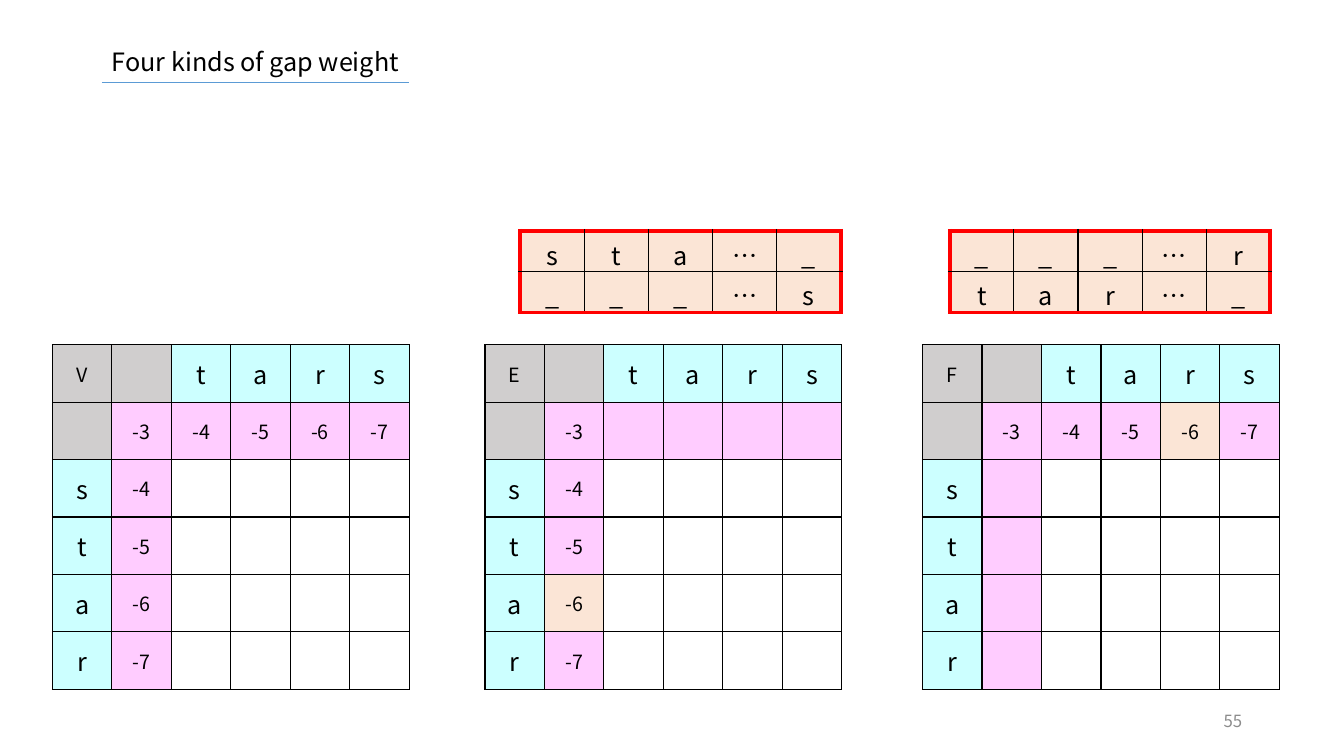
from lxml import etree
from pptx import Presentation
from pptx.dml.color import RGBColor
from pptx.enum.shapes import MSO_CONNECTOR
from pptx.enum.text import MSO_ANCHOR, MSO_AUTO_SIZE, PP_ALIGN
from pptx.oxml.ns import qn
from pptx.util import Emu, Pt

PX = 9144
FONT = "Noto Sans CJK KR"
COLORS = {
    "black": "000000", "white": "FFFFFF", "gray": "D0CECE", "number": "8C8C8C",
    "cyan": "CCFFFF", "pink": "FFCCFF", "peach": "FBE5D6", "red": "FF0000",
    "rule": "5B9BD5",
}
COLUMN_WORD, ROW_WORD = "tars", "star"
WEIGHTS = ["-3", "-4", "-5", "-6", "-7"]
BLANKS = [""] * 4


def px(*values):
    return [Emu(v * PX) for v in values]


def rgb(name):
    return RGBColor.from_string(COLORS[name])


def write(tf, text, size=18, color="black", align=PP_ALIGN.LEFT):
    p = tf.paragraphs[0]
    p.alignment = align
    r = p.add_run()
    r.text = text
    r.font.name, r.font.size = FONT, Pt(size)
    r.font.color.rgb = rgb(color)
    rPr = r.font._element
    rPr.set("lang", "ko-KR")
    etree.SubElement(rPr, qn("a:ea"), typeface=FONT)


def set_borders(cell, borders):
    tcPr = cell._tc.get_or_add_tcPr()
    for i, (side, (color, width)) in enumerate(zip("LRTB", borders)):
        ln = etree.Element(qn(f"a:ln{side}"), w=str(Pt(width)))
        fill = etree.SubElement(ln, qn("a:solidFill"))
        etree.SubElement(fill, qn("a:srgbClr"), val=COLORS[color])
        tcPr.insert(i, ln)


def fill_cell(cell, text, fill, borders, size):
    cell.vertical_anchor = MSO_ANCHOR.MIDDLE
    cell.fill.solid()
    cell.fill.fore_color.rgb = rgb(fill)
    set_borders(cell, borders)
    if text:
        write(cell.text_frame, text, size=size, align=PP_ALIGN.CENTER)


def add_grid(s, box, rows, cols):
    tbl = s.shapes.add_table(rows, cols, *px(*box)).table
    tbl.first_row = tbl.horz_banding = False
    for col in tbl.columns:
        col.width = Emu(box[2] * PX // cols)
    for row in tbl.rows:
        row.height = Emu(box[3] * PX // rows)
    return tbl


def add_matrix(s, box, name, across, down, marked=None):
    tbl = add_grid(s, box, 6, 6)
    texts = [[name, "", *COLUMN_WORD], ["", WEIGHTS[0], *across]]
    texts += [[letter, weight, *BLANKS] for letter, weight in zip(ROW_WORD, down)]
    for r, line in enumerate(texts):
        for c, text in enumerate(line):
            if r + c < 2 and r != c or r == c == 0:
                fill = "gray"
            elif min(r, c) == 0:
                fill = "cyan"
            elif (r, c) == marked:
                fill = "peach"
            else:
                fill = "pink" if min(r, c) == 1 else "white"
            cell = tbl.cell(r, c)
            cell.margin_left, cell.margin_right = px(7, 7)
            cell.margin_top, cell.margin_bottom = px(4, 4)
            fill_cell(cell, text, fill, [("black", 1)] * 4, 18 if fill == "cyan" else 14)


def add_alignment(s, box, lines):
    rows, cols = len(lines), len(lines[0])
    tbl = add_grid(s, box, rows, cols)
    for r, line in enumerate(lines):
        for c, text in enumerate(line):
            edges = (c == 0, c == cols - 1, r == 0, r == rows - 1)
            borders = [("red", 3) if edge else ("black", 1) for edge in edges]
            fill_cell(tbl.cell(r, c), text, "peach", borders, 18)


def add_header(s, box):
    x, y, w, h = box
    title = s.shapes.title
    title.left, title.top, title.width, title.height = px(*box)
    tf = title.text_frame
    tf.word_wrap = True
    tf.auto_size = MSO_AUTO_SIZE.SHAPE_TO_FIT_TEXT
    tf.vertical_anchor = MSO_ANCHOR.TOP
    write(tf, "Four kinds of gap weight")
    rule = s.shapes.add_connector(MSO_CONNECTOR.STRAIGHT, *px(x, y + 41, x + 305, y + 41))
    rule.line.color.rgb = rgb("rule")
    rule.line.width = Pt(0.5)
    etree.SubElement(rule._element.spPr, qn("a:effectLst"))


def add_page_number(s, box):
    tf = s.shapes.add_textbox(*px(*box)).text_frame
    tf.word_wrap = True
    tf.vertical_anchor = MSO_ANCHOR.MIDDLE
    write(tf, "55", size=12, color="number", align=PP_ALIGN.RIGHT)


def main():
    prs = Presentation()
    prs.slide_width, prs.slide_height = px(1333, 750)
    s = prs.slides.add_slide(prs.slide_layouts[5])
    add_page_number(s, (942, 695, 300, 40))
    add_header(s, (101, 41, 734, 40))
    steps = WEIGHTS[1:]
    add_matrix(s, (52, 342, 354, 342), "V", steps, steps)
    add_matrix(s, (481, 342, 354, 342), "E", BLANKS, steps, marked=(4, 1))
    add_matrix(s, (915, 342, 354, 342), "F", steps, BLANKS, marked=(1, 4))
    add_alignment(s, (516, 229, 318, 81), ["sta…_", "___…s"])
    add_alignment(s, (942, 229, 318, 81), ["___…r", "tar…_"])
    prs.save("out.pptx")


if __name__ == "__main__":
    main()
